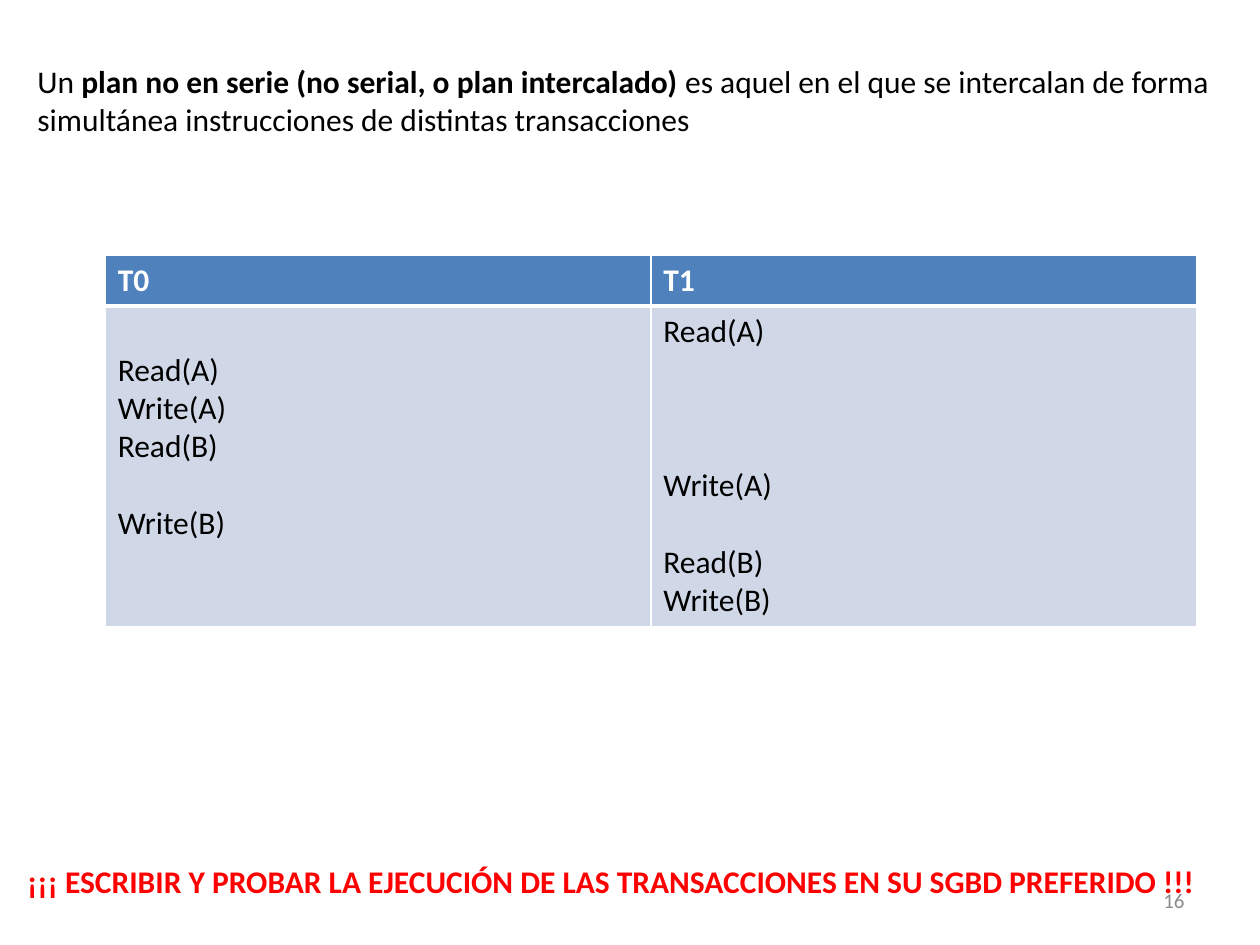
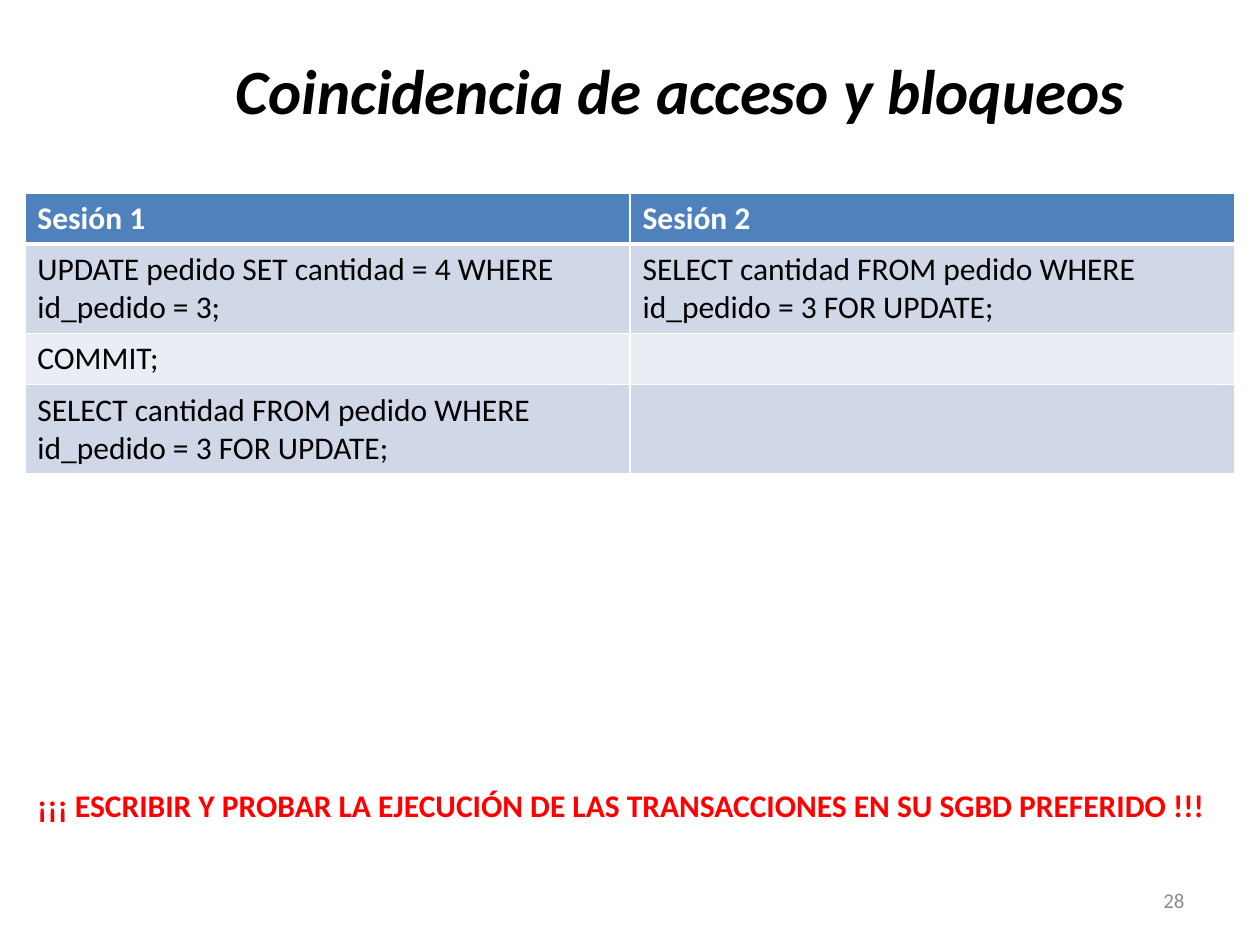
from dataclasses import dataclass
from lxml.etree import SubElement
from pptx import Presentation
from pptx.dml.color import RGBColor
from pptx.enum.text import MSO_ANCHOR, MSO_AUTO_SIZE, PP_ALIGN
from pptx.oxml.ns import qn
from pptx.util import Cm, Pt


@dataclass(frozen=True)
class Theme:
    font: str = "Calibri"
    black: RGBColor = RGBColor(0, 0, 0)
    white: RGBColor = RGBColor(255, 255, 255)
    red: RGBColor = RGBColor(255, 0, 0)
    gray: RGBColor = RGBColor(0x8C, 0x8C, 0x8C)
    header: RGBColor = RGBColor(0x4F, 0x81, 0xBD)
    bands: tuple = (RGBColor(0xD0, 0xD8, 0xE8), RGBColor(0xE9, 0xED, 0xF4))
    title_size: int = 36
    text_size: int = 18
    number_size: int = 12
    line_height: int = 22


@dataclass(frozen=True)
class Box:
    left: float
    top: float
    width: float
    height: float

    def lengths(self):
        return Cm(self.left), Cm(self.top), Cm(self.width), Cm(self.height)


THEME = Theme()
TITLE_ONLY, TITLE_AND_BODY = 5, 1
CALL_TO_ACTION = ("¡¡¡ ESCRIBIR Y PROBAR LA EJECUCIÓN DE LAS "
                  "TRANSACCIONES EN SU SGBD PREFERIDO !!!")
NUMBER_BOX = Box(18.2, 17.65, 5.93, 1.01)


def style_span(span, color, size=THEME.text_size, bold=False, italic=False):
    font = span.font
    font.name, font.size = THEME.font, Pt(size)
    font.bold, font.italic = bold, italic
    font.color.rgb = color


def style_frame(frame, color, **style):
    for para in frame.paragraphs:
        for span in para.runs:
            style_span(span, color, **style)


def place(shape, box):
    shape.left, shape.top, shape.width, shape.height = box.lengths()


def add_label(page, box, text, color, **style):
    frame = page.shapes.add_textbox(*box.lengths()).text_frame
    frame.word_wrap = True
    frame.text = text
    style_frame(frame, color, **style)
    return frame


def add_page_number(page, box, number):
    frame = add_label(page, box, str(number), THEME.gray, size=THEME.number_size)
    frame.vertical_anchor = MSO_ANCHOR.MIDDLE
    frame.paragraphs[0].alignment = PP_ALIGN.RIGHT


def add_call_to_action(page, box):
    add_label(page, box, CALL_TO_ACTION, THEME.red, bold=True)


def fill_title(page, box, text):
    title = page.shapes.title
    place(title, box)
    frame = title.text_frame
    frame.text = text
    frame.word_wrap = False
    frame.auto_size = MSO_AUTO_SIZE.NONE
    frame.vertical_anchor = MSO_ANCHOR.TOP
    frame.paragraphs[0].alignment = PP_ALIGN.LEFT
    style_frame(frame, THEME.black, size=THEME.title_size, bold=True, italic=True)


def fill_definition(page, box, parts):
    title = page.shapes.title.element
    title.getparent().remove(title)
    body = page.placeholders[1]
    place(body, box)
    frame = body.text_frame
    frame.auto_size = MSO_AUTO_SIZE.NONE
    para = frame.paragraphs[0]
    para.space_before = Pt(0)
    properties = para._p.get_or_add_pPr()
    properties.set("marL", "0")
    properties.set("indent", "0")
    SubElement(properties, qn("a:buNone"))
    for text, bold in parts:
        span = para.add_run()
        span.text = text
        style_span(span, THEME.black, bold=bold)


def style_cell(cell, fill, bottom_width):
    properties = cell._tc.get_or_add_tcPr()
    for side, width in (("L", 1), ("R", 1), ("T", 1), ("B", bottom_width)):
        line = SubElement(properties, qn(f"a:ln{side}"), w=str(Pt(width)))
        paint = SubElement(line, qn("a:solidFill"))
        SubElement(paint, qn("a:srgbClr"), val=str(THEME.white))
    cell.fill.solid()
    cell.fill.fore_color.rgb = fill


def add_grid(page, box, rows, heights):
    table = page.shapes.add_table(len(rows), len(rows[0]), *box.lengths()).table
    for row, height in zip(table.rows, heights):
        row.height = Cm(height)
    for row_index, texts in enumerate(rows):
        is_header = row_index == 0
        fill = THEME.header if is_header else THEME.bands[(row_index - 1) % 2]
        color = THEME.white if is_header else THEME.black
        for column_index, text in enumerate(texts):
            cell = table.cell(row_index, column_index)
            cell.text = text
            style_frame(cell.text_frame, color, bold=is_header)
            style_cell(cell, fill, 3 if is_header else 1)
    return table


def space_steps(cell, time_slots):
    waits = [slot - previous - 1
             for previous, slot in zip([0, *time_slots], time_slots)]
    cell.margin_top = Cm(0.13) + Pt(THEME.line_height * waits[0])
    for para, wait in zip(cell.text_frame.paragraphs[1:], waits[1:]):
        para.space_before = Pt(THEME.line_height * wait)


def add_schedule(page, box, transactions):
    names = list(transactions)
    steps = ["\n".join(plan.values()) for plan in transactions.values()]
    header_height = 1.03
    table = add_grid(page, box, [names, steps],
                     [header_height, box.height - header_height])
    for column_index, plan in enumerate(transactions.values()):
        space_steps(table.cell(1, column_index), list(plan))


def build_interleaved_plan(deck):
    page = deck.slides.add_slide(deck.slide_layouts[TITLE_AND_BODY])
    fill_definition(page, Box(0.5, 1.12, 24.6, 1.8), [
        ("Un ", False),
        ("plan no en serie (no serial, o plan intercalado) ", True),
        ("es aquel en el que se intercalan de forma simultánea "
         "instrucciones de distintas transacciones", False),
    ])
    add_schedule(page, Box(2.12, 5.14, 22, 7.39), {
        "T0": {2: "Read(A)", 3: "Write(A)", 4: "Read(B)", 6: "Write(B)"},
        "T1": {1: "Read(A)", 5: "Write(A)", 7: "Read(B)", 8: "Write(B)"},
    })
    add_call_to_action(page, Box(0.3, 17.25, 24.2, 1.03))
    add_page_number(page, NUMBER_BOX, 16)


def build_locks(deck):
    page = deck.slides.add_slide(deck.slide_layouts[TITLE_ONLY])
    fill_title(page, Box(4.5, 0.92, 18.62, 1.8), "Coincidencia de acceso y bloqueos")
    locking_query = "SELECT cantidad FROM pedido WHERE id_pedido = 3 FOR UPDATE;"
    add_grid(page, Box(0.5, 3.89, 24.4, 5.64), [
        ("Sesión 1", "Sesión 2"),
        ("UPDATE pedido SET cantidad = 4 WHERE id_pedido = 3;", locking_query),
        ("COMMIT;", ""),
        (locking_query, ""),
    ], [1.03, 1.79, 1.03, 1.79])
    add_call_to_action(page, Box(0.5, 15.72, 24.4, 1.03))
    add_page_number(page, NUMBER_BOX, 28)


def main():
    deck = Presentation()
    deck.slide_width, deck.slide_height = Cm(25.4), Cm(19.05)
    build_interleaved_plan(deck)
    build_locks(deck)
    deck.save("out.pptx")


main()
